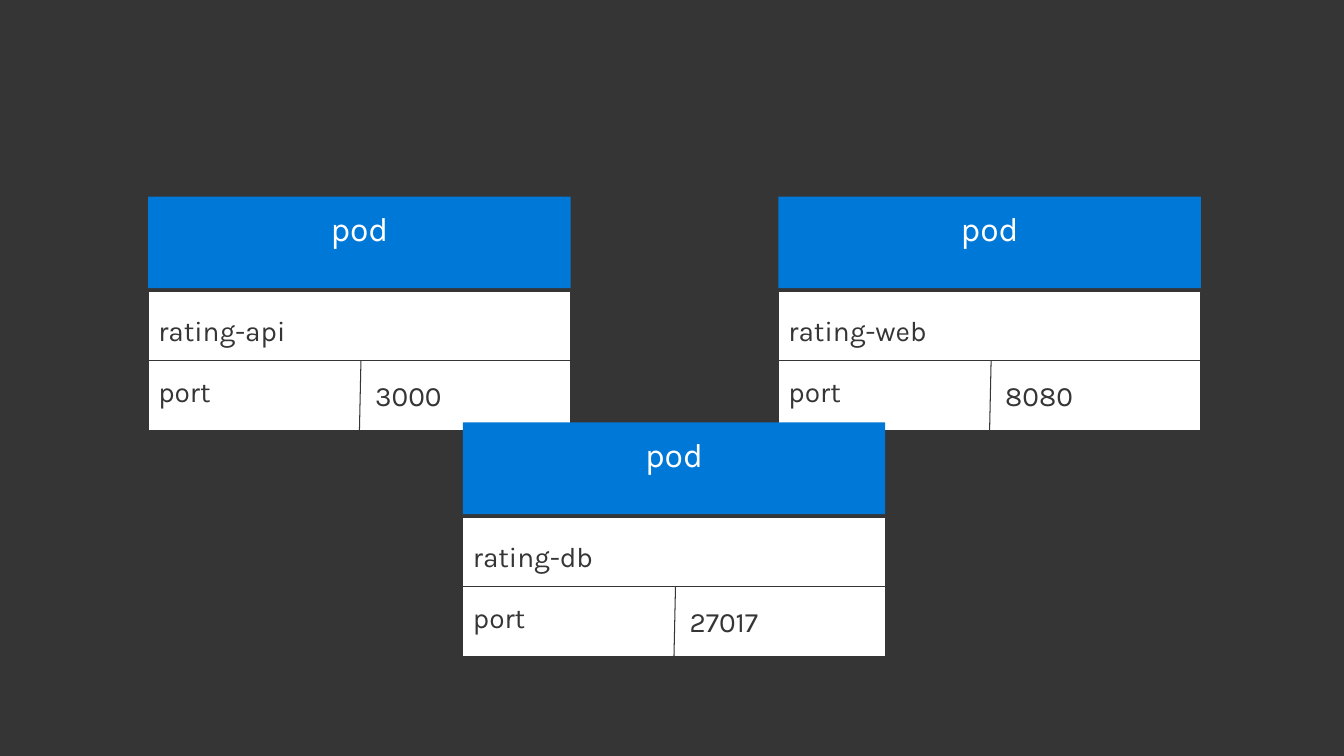
from lxml.etree import SubElement
from pptx import Presentation
from pptx.dml.color import RGBColor
from pptx.enum.shapes import MSO_CONNECTOR, MSO_SHAPE
from pptx.enum.text import MSO_ANCHOR, MSO_AUTO_SIZE, PP_ALIGN
from pptx.oxml.ns import qn
from pptx.util import Inches, Pt

COLORS = {"dark": "353535", "blue": "0078D7", "white": "FFFFFF"}
FONT = "Karla"
CARD_WIDTH, HEADER_HEIGHT = 4.19, 0.91
BODY_TOP, BODY_HEIGHT = 0.94, 1.38
# left, top, name, port
PODS = [
    (1.47, 1.95, "rating-api", "3000"),
    (7.72, 1.95, "rating-web", "8080"),
    (4.59, 4.19, "rating-db", "27017"),
]


def color(name):
    return RGBColor.from_string(COLORS[name])


def write_text(shape, text, size, color_name, align):
    frame = shape.text_frame
    frame.word_wrap = True
    frame.vertical_anchor = MSO_ANCHOR.TOP
    frame.margin_left = frame.margin_right = Inches(0.2)
    frame.margin_top = frame.margin_bottom = Inches(0.16)
    para = frame.paragraphs[0]
    para.text = text
    para.alignment = align
    para.line_spacing = 0.9
    para.font.name = FONT
    para.font.size = Pt(size)
    para.font.color.rgb = color(color_name)


def add_box(shapes, left, top, width, height, fill):
    box = shapes.add_shape(MSO_SHAPE.RECTANGLE, Inches(left), Inches(top),
                           Inches(width), Inches(height))
    box.shadow.inherit = False
    box.fill.solid()
    box.fill.fore_color.rgb = color(fill)
    box.line.fill.background()
    return box


def add_line(shapes, start, end):
    line = shapes.add_connector(MSO_CONNECTOR.STRAIGHT,
                                *(Inches(value) for value in start + end))
    line.line.color.rgb = color("dark")
    line.line.width = Pt(0.75)
    SubElement(line._element.spPr, qn("a:effectLst"))
    return line


def add_label(shapes, left, top, height, text):
    label = shapes.add_textbox(Inches(left), Inches(top), Inches(2.01), Inches(height))
    write_text(label, text, 20, "dark", PP_ALIGN.LEFT)
    label.text_frame.paragraphs[0].space_after = Pt(6)
    label.text_frame.auto_size = MSO_AUTO_SIZE.SHAPE_TO_FIT_TEXT


def add_pod(page, left, top, name, port):
    shapes = page.shapes.add_group_shape().shapes
    body_top = top + BODY_TOP
    middle = body_top + BODY_HEIGHT / 2
    right, bottom = left + CARD_WIDTH, body_top + BODY_HEIGHT

    # Header and body
    header = add_box(shapes, left, top, CARD_WIDTH, HEADER_HEIGHT, "blue")
    write_text(header, "pod", 24, "white", PP_ALIGN.CENTER)
    body = add_box(shapes, left, body_top, CARD_WIDTH, BODY_HEIGHT, "white")
    body.line.color.rgb = color("dark")
    body.line.width = Pt(0.75)

    # Row and column dividers
    row_line = add_line(shapes, (left, middle), (right, middle))
    row_line.begin_connect(body, 1)
    row_line.end_connect(body, 3)
    column_line = add_line(shapes, (left + 2.11, middle),
                           (left + CARD_WIDTH / 2, bottom))
    column_line.end_connect(body, 2)

    # Labels
    add_label(shapes, left - 0.1, top + 1.05, 0.63, name)
    add_label(shapes, left - 0.1, top + 1.65, 0.89, "port")
    add_label(shapes, left + 2.05, top + 1.69, 0.63, port)


def main():
    deck = Presentation()
    deck.slide_width, deck.slide_height = Inches(13.33), Inches(7.5)
    page = deck.slides.add_slide(deck.slide_layouts[6])
    page.background.fill.solid()
    page.background.fill.fore_color.rgb = color("dark")
    for pod in PODS:
        add_pod(page, *pod)
    deck.save("out.pptx")


if __name__ == "__main__":
    main()
